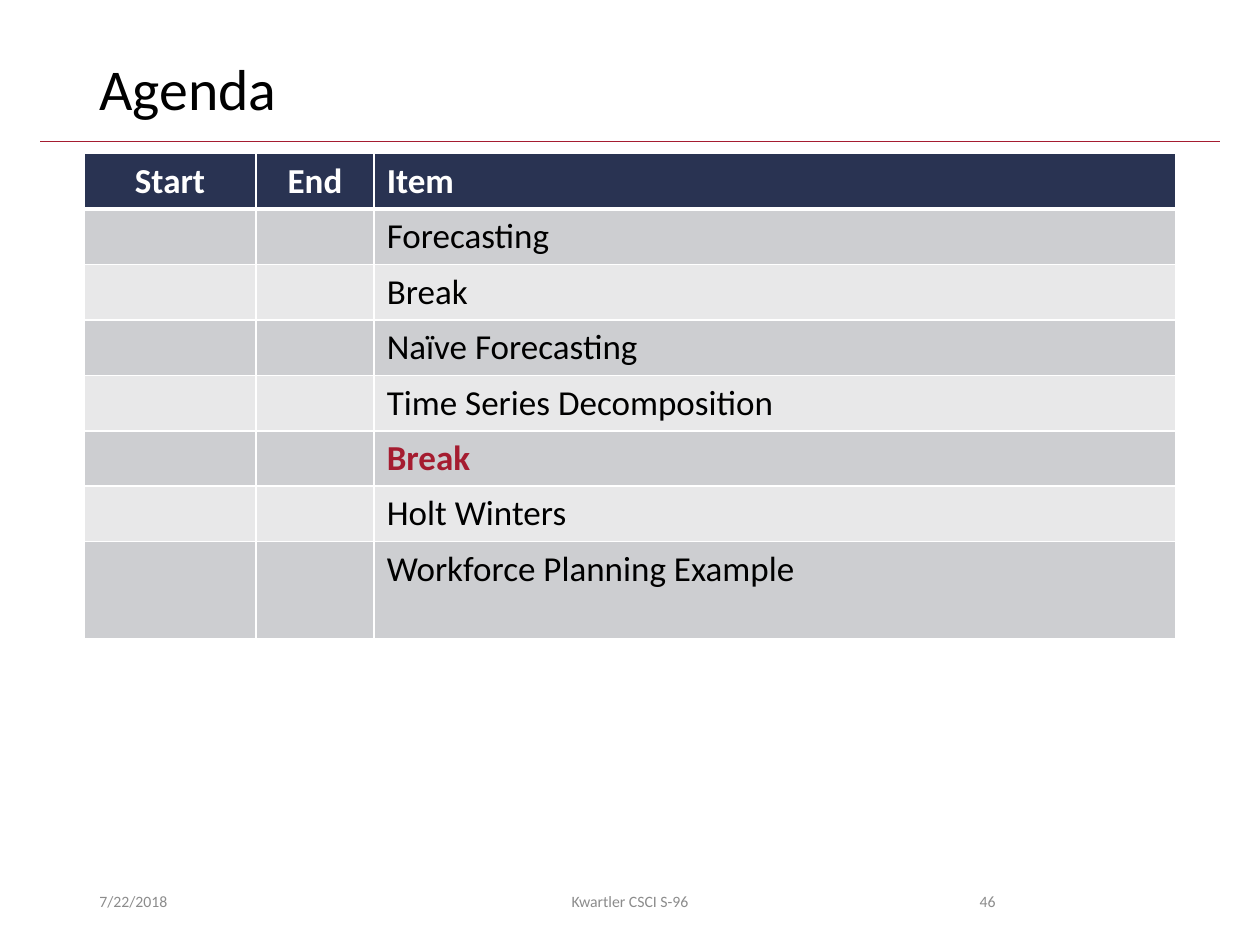
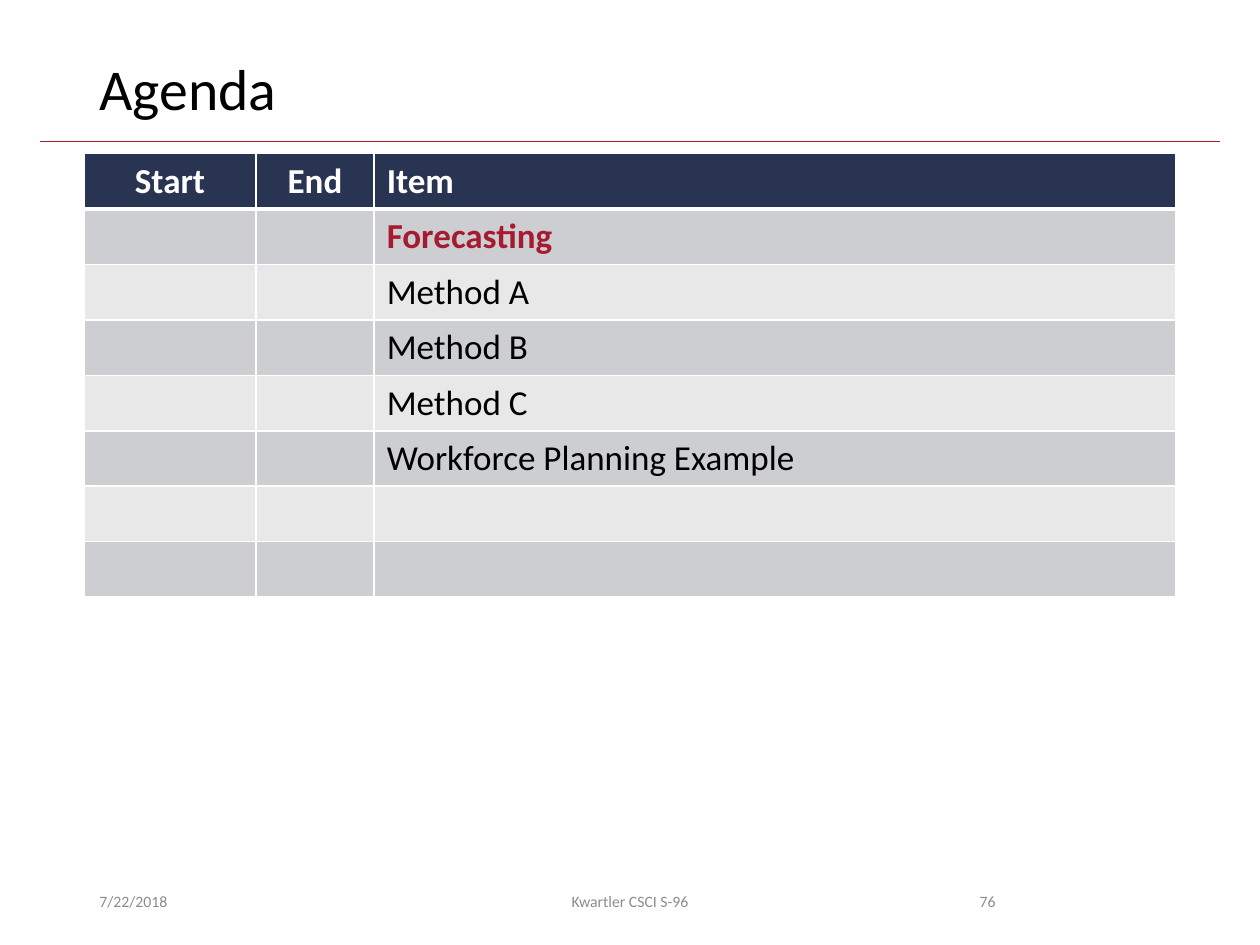
from dataclasses import dataclass

from lxml import etree
from pptx import Presentation
from pptx.dml.color import RGBColor
from pptx.enum.shapes import MSO_CONNECTOR
from pptx.enum.text import MSO_ANCHOR, PP_ALIGN
from pptx.oxml.ns import qn
from pptx.util import Inches, Pt

LEFT, CENTER, RIGHT = PP_ALIGN.LEFT, PP_ALIGN.CENTER, PP_ALIGN.RIGHT
MIDDLE = MSO_ANCHOR.MIDDLE
STRAIGHT = MSO_CONNECTOR.STRAIGHT


@dataclass(frozen=True)
class Theme:
    """Colours, font and type sizes of the deck."""
    font: str = "Calibri"
    ink: str = "000000"
    paper: str = "FFFFFF"
    navy: str = "293352"
    crimson: str = "A51C30"
    muted: str = "8C8C8C"
    bands: tuple = ("CDCED1", "E8E8E9")
    title: int = 33
    body: int = 20
    small: int = 9


THEME = Theme()
HEADS = ("Start", "End", "Item")
ALIGNS = (CENTER, CENTER, LEFT)
WIDTHS = (1.36, 0.94, 6.36)
ROW = 0.44
FOOT_TOP, FOOT_HIGH = 6.95, 0.4

AGENDAS = (
    dict(page="46", active=4, last=0.77,
         items=("Forecasting", "Break", "Naïve Forecasting",
                "Time Series Decomposition", "Break", "Holt Winters",
                "Workforce Planning Example")),
    dict(page="76", active=0, last=ROW,
         items=("Forecasting", "Method A", "Method B", "Method C",
                "Workforce Planning Example", "", "")),
)


def write(frame, text, size=THEME.body, color=THEME.ink, bold=False,
          align=LEFT, spacing=None):
    """Write one formatted line into a text frame."""
    para = frame.paragraphs[0]
    para.alignment = align
    if spacing:
        para.line_spacing = spacing
    run = para.add_run()
    run.text = text
    run.font.name = THEME.font
    run.font.size = Pt(size)
    run.font.bold = bold
    run.font.color.rgb = RGBColor.from_string(color)


def add_label(slide, text, left, top, width, height, **style):
    """Add a wrapped, vertically centred text box."""
    box = slide.shapes.add_textbox(*map(Inches, (left, top, width, height)))
    frame = box.text_frame
    frame.word_wrap = True
    frame.vertical_anchor = MIDDLE
    write(frame, text, **style)


def add_rule(slide):
    """Add the thin rule under the title."""
    rule = slide.shapes.add_connector(
        STRAIGHT, Inches(0.32), Inches(1.12), Inches(9.68), Inches(1.12))
    rule.line.color.rgb = RGBColor.from_string(THEME.crimson)
    rule.line.width = Pt(0.5)
    etree.SubElement(rule._element.spPr, qn("a:effectLst"))


def add_frame(slide, page):
    """Add the title, rule and footer that every slide shares."""
    add_rule(slide)
    add_label(slide, "Agenda", 0.69, 0.4, 8.62, 0.65,
              size=THEME.title, spacing=0.9)
    feet = (("7/22/2018", 0.69, 2.25, LEFT),
            ("Kwartler CSCI S-96", 3.31, 3.38, CENTER),
            (page, 7.06, 0.94, RIGHT))
    for text, left, width, align in feet:
        add_label(slide, text, left, FOOT_TOP, width, FOOT_HIGH,
                  size=THEME.small, color=THEME.muted, align=align)


def set_edges(cell, top=1, bottom=1):
    """Draw the white borders of a cell, widths in points."""
    props = cell._tc.get_or_add_tcPr()
    for side, width in zip("LRTB", (1, 1, top, bottom)):
        line = etree.SubElement(props, qn(f"a:ln{side}"), w=str(Pt(width)))
        fill = etree.SubElement(line, qn("a:solidFill"))
        etree.SubElement(fill, qn("a:srgbClr"), val=THEME.paper)


def fill_cell(cell, text, fill, top=1, bottom=1, **style):
    """Set the borders, fill and text of a cell."""
    set_edges(cell, top, bottom)
    cell.fill.solid()
    cell.fill.fore_color.rgb = RGBColor.from_string(fill)
    if text:
        write(cell.text_frame, text, **style)


def add_agenda(slide, items, active, last):
    """Add the agenda table with the active item highlighted."""
    count = len(items) + 1
    high = ROW * len(items) + last
    table = slide.shapes.add_table(
        count, len(HEADS), Inches(0.67), Inches(1.22),
        Inches(sum(WIDTHS)), Inches(high)).table
    for col, width in zip(table.columns, WIDTHS):
        col.width = Inches(width)
    for row in table.rows:
        row.height = Inches(ROW)
    table.rows[count - 1].height = Inches(last)
    for col, (head, align) in enumerate(zip(HEADS, ALIGNS)):
        fill_cell(table.cell(0, col), head, THEME.navy, bottom=3,
                  color=THEME.paper, bold=True, align=align)
    for index, item in enumerate(items):
        live = index == active
        for col, text in enumerate(("", "", item)):
            fill_cell(table.cell(index + 1, col), text,
                      THEME.bands[index % 2], top=1 if index else 3,
                      color=THEME.crimson if live else THEME.ink, bold=live)


def main():
    """Build and save the agenda slides."""
    deck = Presentation()
    deck.slide_width, deck.slide_height = Inches(10), Inches(7.5)
    for agenda in AGENDAS:
        slide = deck.slides.add_slide(deck.slide_layouts[6])
        add_frame(slide, agenda["page"])
        add_agenda(slide, agenda["items"], agenda["active"], agenda["last"])
    deck.save("out.pptx")


if __name__ == "__main__":
    main()
